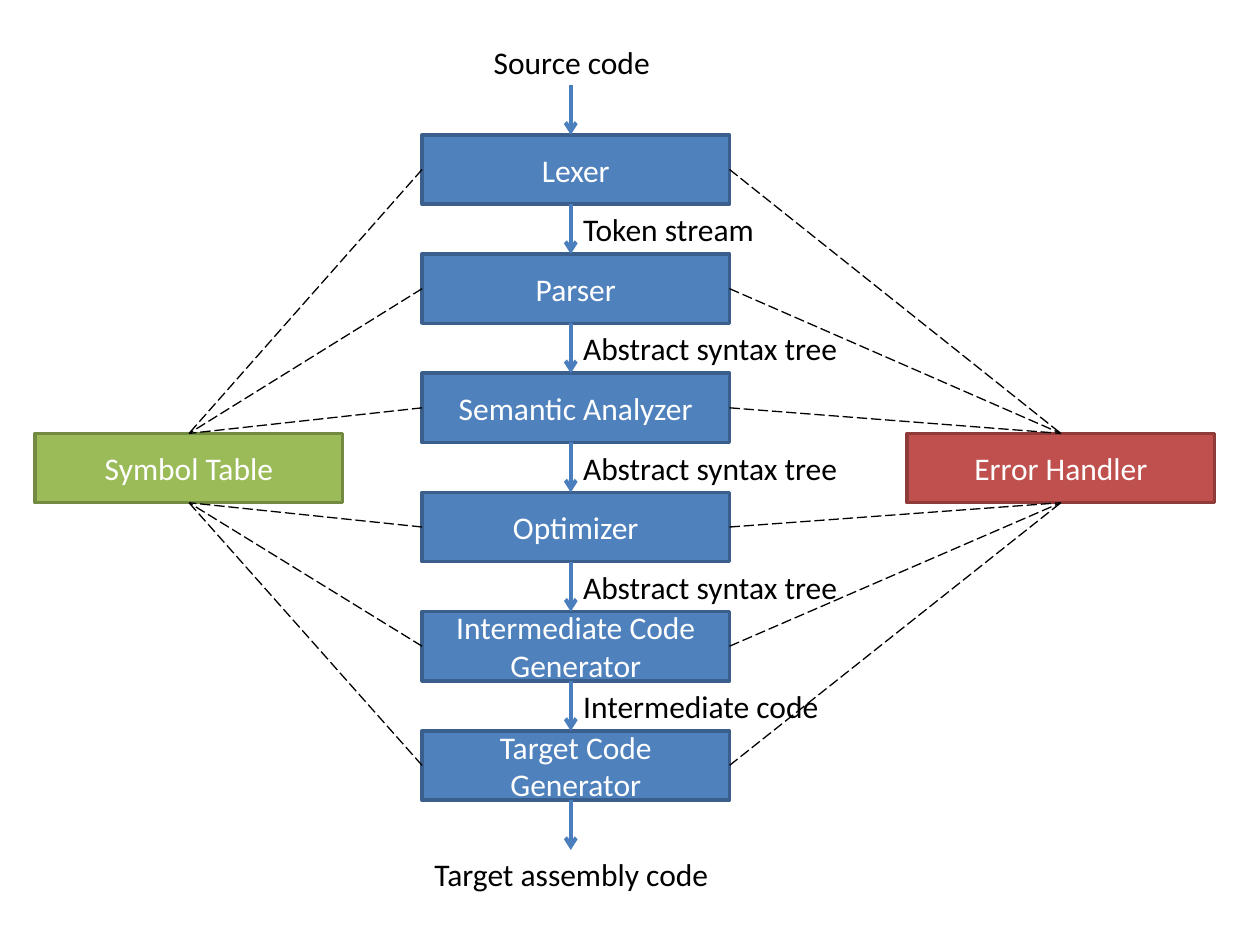
"""Build a slide showing the phases of a compiler and their shared services."""
from lxml.etree import SubElement
from pptx import Presentation
from pptx.dml.color import RGBColor
from pptx.enum.dml import MSO_LINE
from pptx.enum.shapes import MSO_CONNECTOR, MSO_SHAPE
from pptx.enum.text import MSO_ANCHOR, MSO_AUTO_SIZE, PP_ALIGN
from pptx.oxml.ns import qn
from pptx.util import Inches, Pt

BOX_WIDTH, BOX_HEIGHT = 2.44, 0.55
PHASE_LEFT, PHASE_TOP = 3.35, 1.07
PHASE_STEP = (5.8 - PHASE_TOP) / 5
GAP = PHASE_STEP - BOX_HEIGHT
FLOW_X = 4.53
TOP, LEFT, BOTTOM, RIGHT = range(4)

prs = Presentation()
prs.slide_width, prs.slide_height = Inches(10), Inches(7.5)
slide = prs.slides.add_slide(prs.slide_layouts[6])
shapes = slide.shapes


def write(shape, text, color):
    shape.text_frame.text = text
    font = shape.text_frame.paragraphs[0].runs[0].font
    font.name, font.size = "Calibri", Pt(18)
    font.color.rgb = RGBColor.from_string(color)


def add_line(start, end, color, width):
    line = shapes.add_connector(
        MSO_CONNECTOR.STRAIGHT, *[Inches(value) for value in (*start, *end)])
    line.line.color.rgb = RGBColor.from_string(color)
    line.line.width = Pt(width)
    SubElement(line._element.spPr, qn("a:effectLst"))
    return line


phase_names = ["Lexer", "Parser", "Semantic Analyzer", "Optimizer",
               "Intermediate Code Generator", "Target Code Generator"]
phase_tops = [PHASE_TOP + i * PHASE_STEP for i in range(len(phase_names))]
box_specs = [(name, PHASE_LEFT, top, "4F81BD", "3A5F8C")
             for name, top in zip(phase_names, phase_tops)]
box_specs += [("Symbol Table", 0.28, 3.44, "9BBB59", "738A42"),
              ("Error Handler", 7.2, 3.44, "C0504D", "8E3B39")]

boxes = []
for name, left, top, fill, outline in box_specs:
    box = shapes.add_shape(MSO_SHAPE.RECTANGLE, Inches(left), Inches(top),
                           Inches(BOX_WIDTH), Inches(BOX_HEIGHT))
    box.shadow.inherit = False
    box.fill.solid()
    box.fill.fore_color.rgb = RGBColor.from_string(fill)
    box.line.color.rgb = RGBColor.from_string(outline)
    box.line.width = Pt(2)
    write(box, name, "FFFFFF")
    box.text_frame.vertical_anchor = MSO_ANCHOR.MIDDLE
    box.text_frame.paragraphs[0].alignment = PP_ALIGN.CENTER
    boxes.append(box)
*phases, symbol_table, error_handler = boxes

for i, phase in enumerate(phases):
    service_side = TOP if i < len(phases) / 2 else BOTTOM
    for service, phase_side in ((symbol_table, LEFT), (error_handler, RIGHT)):
        link = add_line((0, 0), (1, 1), "000000", 0.75)
        link.begin_connect(phase, phase_side)
        link.end_connect(service, service_side)
        link.line.dash_style = MSO_LINE.LONG_DASH

for top in [PHASE_TOP - GAP] + [top + BOX_HEIGHT for top in phase_tops]:
    arrow = add_line((FLOW_X, top), (FLOW_X, top + GAP), "4B7EBC", 2.25)
    SubElement(arrow.line._get_or_add_ln(), qn("a:tailEnd"), type="arrow")

labels = [("Source code", 3.82, 0.29, 1.46),
          ("Target assembly code", 3.35, 6.74, 2.46)]
handovers = [("Token stream", 1.57), ("Abstract syntax tree", 2.24),
             ("Abstract syntax tree", 2.24), ("Abstract syntax tree", 2.24),
             ("Intermediate code", 2.09)]
labels += [(text, FLOW_X, top + BOX_HEIGHT, width)
           for (text, width), top in zip(handovers, phase_tops)]

for text, left, top, width in labels:
    label = shapes.add_textbox(Inches(left), Inches(top), Inches(width), Inches(0.4))
    write(label, text, "000000")
    label.text_frame.word_wrap = False
    label.text_frame.auto_size = MSO_AUTO_SIZE.SHAPE_TO_FIT_TEXT

prs.save("out.pptx")
